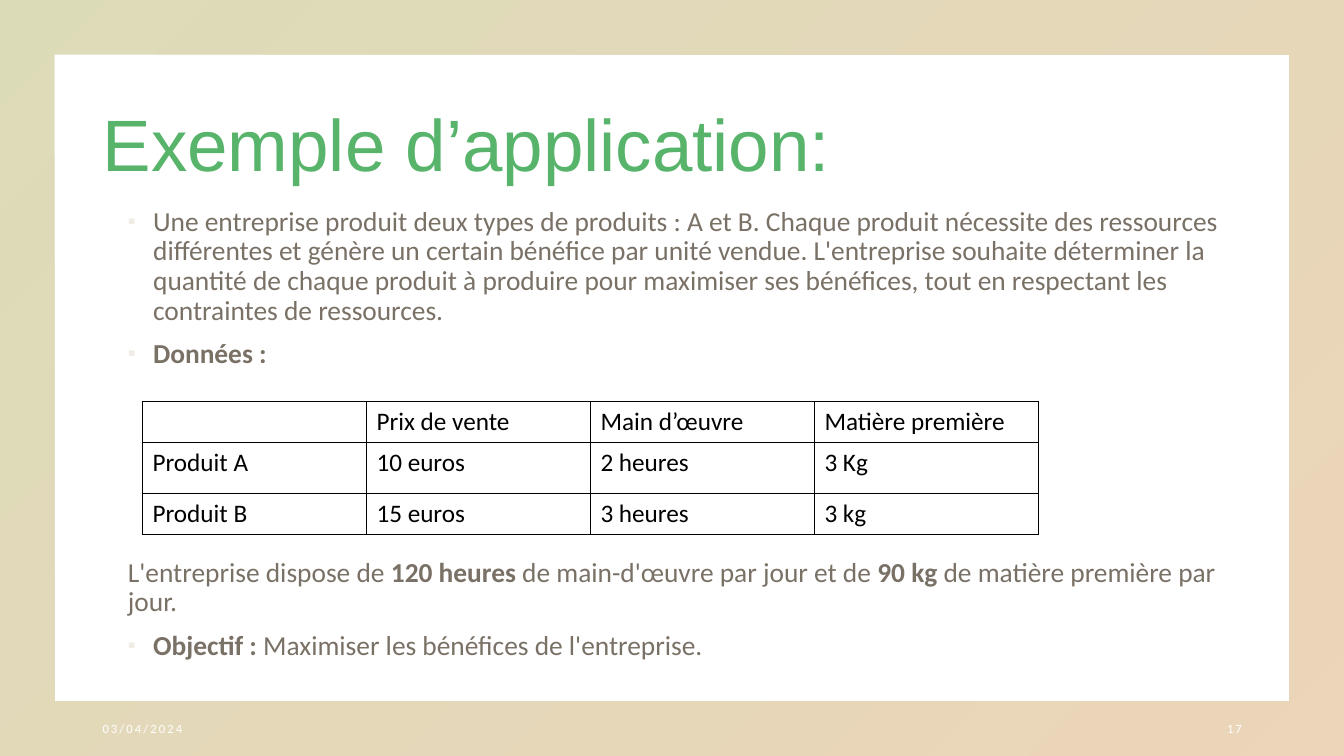
from dataclasses import dataclass

from lxml import etree
from pptx import Presentation
from pptx.dml.color import RGBColor
from pptx.enum.shapes import MSO_SHAPE
from pptx.enum.text import MSO_ANCHOR, MSO_AUTO_SIZE, PP_ALIGN
from pptx.oxml.ns import qn
from pptx.util import Pt

LEFT, RIGHT = PP_ALIGN.LEFT, PP_ALIGN.RIGHT
TOP, MIDDLE = MSO_ANCHOR.TOP, MSO_ANCHOR.MIDDLE
FRAME, NO_FIT = MSO_SHAPE.FRAME, MSO_AUTO_SIZE.NONE

GREEN, BROWN, CREAM = "58B46B", "7A7166", "F0EBE5"
BLACK, WHITE = "000000", "FFFFFF"
OLIVE, PEACH = "A9A64F", "D19651"


@dataclass
class Para:
    """Runs alternate between plain and bold, starting with plain."""
    runs: list[str]
    bullet: bool = True
    before: float = 10


@dataclass
class Note:
    text: str
    left: float
    align: PP_ALIGN


PARAS = [
    Para(["Une entreprise produit deux types de produits : A et B. Chaque produit "
          "nécessite des ressources différentes et génère un certain bénéfice par "
          "unité vendue. L'entreprise souhaite déterminer la quantité de chaque "
          "produit à produire pour maximiser ses bénéfices, tout en respectant les "
          "contraintes de ressources."]),
    Para(["", "Données :"]),
    Para(["L'entreprise dispose de ", "120 heures ",
          "de main-d'œuvre par jour et de ", "90 kg ",
          "de matière première par jour."], bullet=False, before=134.8),
    Para(["", "Objectif :", " Maximiser les bénéfices de l'entreprise."]),
]
ROWS = [
    ["", "Prix de vente", "Main d’œuvre", "Matière première"],
    ["Produit A", "10 euros", "2 heures", "3 Kg"],
    ["Produit B", "15 euros", "3 heures", "3 kg"],
]
HEIGHTS = [29.2, 36.6, 29.2]
COL = 160
NOTES = [Note("03/04/2024", 66.2, LEFT), Note("17", 678.2, RIGHT)]


def tint(color, code: str) -> None:
    color.rgb = RGBColor.from_string(code)


def put(para, text: str, *, size: float, code: str, font: str = "Calibri",
        bold: bool = False, track: int = 0) -> None:
    """Add a run; track is letter spacing in hundredths of a point."""
    run = para.add_run()
    run.text = text
    run.font.name, run.font.size, run.font.bold = font, Pt(size), bold
    tint(run.font.color, code)
    if track:
        run.font._element.set("spc", str(track))


def place(shape, left: float, top: float, width: float, height: float,
          anchor: MSO_ANCHOR):
    shape.left, shape.top = Pt(left), Pt(top)
    shape.width, shape.height = Pt(width), Pt(height)
    text = shape.text_frame
    text.word_wrap, text.auto_size = True, NO_FIT
    text.vertical_anchor = anchor
    return text


def mark(para, bullet: bool) -> None:
    """Set the indent and the square bullet."""
    props = para._p.get_or_add_pPr()
    props.set("marL", str(Pt(36 if bullet else 18)))
    props.set("indent", str(Pt(-18 if bullet else 0)))
    if not bullet:
        etree.SubElement(props, qn("a:buNone"))
        return
    color = etree.SubElement(props, qn("a:buClr"))
    etree.SubElement(color, qn("a:srgbClr"), val=CREAM)
    etree.SubElement(props, qn("a:buSzPct"), val="80000")
    etree.SubElement(props, qn("a:buFont"), typeface="Arial")
    etree.SubElement(props, qn("a:buChar"), char="▪")


def edge(cell) -> None:
    """Draw a thin black border on all four sides."""
    props = cell._tc.get_or_add_tcPr()
    for spot, side in enumerate(("a:lnL", "a:lnR", "a:lnT", "a:lnB")):
        line = etree.Element(qn(side), w=str(Pt(1)))
        fill = etree.SubElement(line, qn("a:solidFill"))
        etree.SubElement(fill, qn("a:srgbClr"), val=BLACK)
        props.insert(spot, line)


def add_frame(slide) -> None:
    frame = slide.shapes.add_shape(FRAME, 0, 0, Pt(960), Pt(540))
    frame.adjustments[0] = 0.072
    frame.shadow.inherit = False
    frame.line.fill.background()
    frame.fill.gradient()
    frame.fill.gradient_angle = 315
    for stop, code in zip(frame.fill.gradient_stops, (OLIVE, PEACH)):
        tint(stop.color, code)
    for color in frame._element.findall(".//" + qn("a:srgbClr")):
        etree.SubElement(color, qn("a:alpha"), val="40000")
    slide.shapes._spTree.insert(2, frame._element)


def add_body(holder) -> None:
    text = place(holder, 66.2, 144.7, 828, 342, TOP)
    for i, item in enumerate(PARAS):
        para = text.add_paragraph() if i else text.paragraphs[0]
        para.alignment, para.line_spacing = LEFT, 0.9
        para.space_before, para.space_after = Pt(item.before), Pt(0)
        mark(para, item.bullet)
        for j, part in enumerate(item.runs):
            if part:
                put(para, part, size=19.6, code=BROWN, bold=j % 2 == 1)


def add_grid(slide) -> None:
    table = slide.shapes.add_table(len(ROWS), len(ROWS[0]), Pt(101.8), Pt(286.6),
                                   Pt(COL * len(ROWS[0])), Pt(sum(HEIGHTS))).table
    table.first_row = table.horz_banding = False
    for col in table.columns:
        col.width = Pt(COL)
    for r, (row, height) in enumerate(zip(ROWS, HEIGHTS)):
        table.rows[r].height = Pt(height)
        for c, word in enumerate(row):
            cell = table.cell(r, c)
            cell.fill.background()
            edge(cell)
            if word:
                put(cell.text_frame.paragraphs[0], word, size=18, code=BLACK)


def main() -> None:
    deck = Presentation()
    deck.slide_width, deck.slide_height = Pt(960), Pt(540)
    slide = deck.slides.add_slide(deck.slide_layouts[1])
    add_frame(slide)

    title = place(slide.shapes.title, 66.2, 53.3, 828, 104.4, MIDDLE).paragraphs[0]
    title.alignment, title.line_spacing = LEFT, 0.9
    put(title, "Exemple d’application:", size=52, code=GREEN, font="Arial")

    add_body(slide.placeholders[1])
    add_grid(slide)
    for note in NOTES:
        box = slide.shapes.add_textbox(0, 0, 0, 0)
        para = place(box, note.left, 506.2, 216, 28.8, MIDDLE).paragraphs[0]
        para.alignment = note.align
        put(para, note.text, size=9, code=WHITE, track=150)
    deck.save("out.pptx")


if __name__ == "__main__":
    main()
